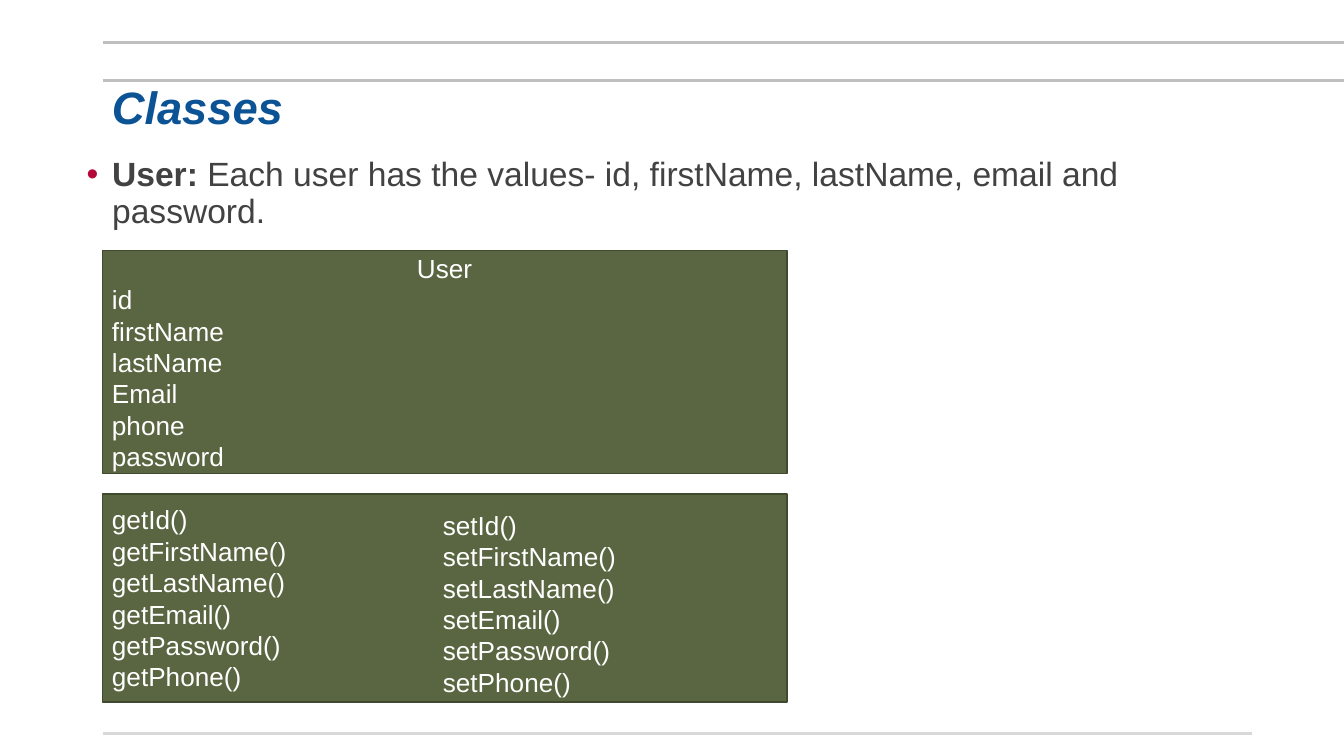
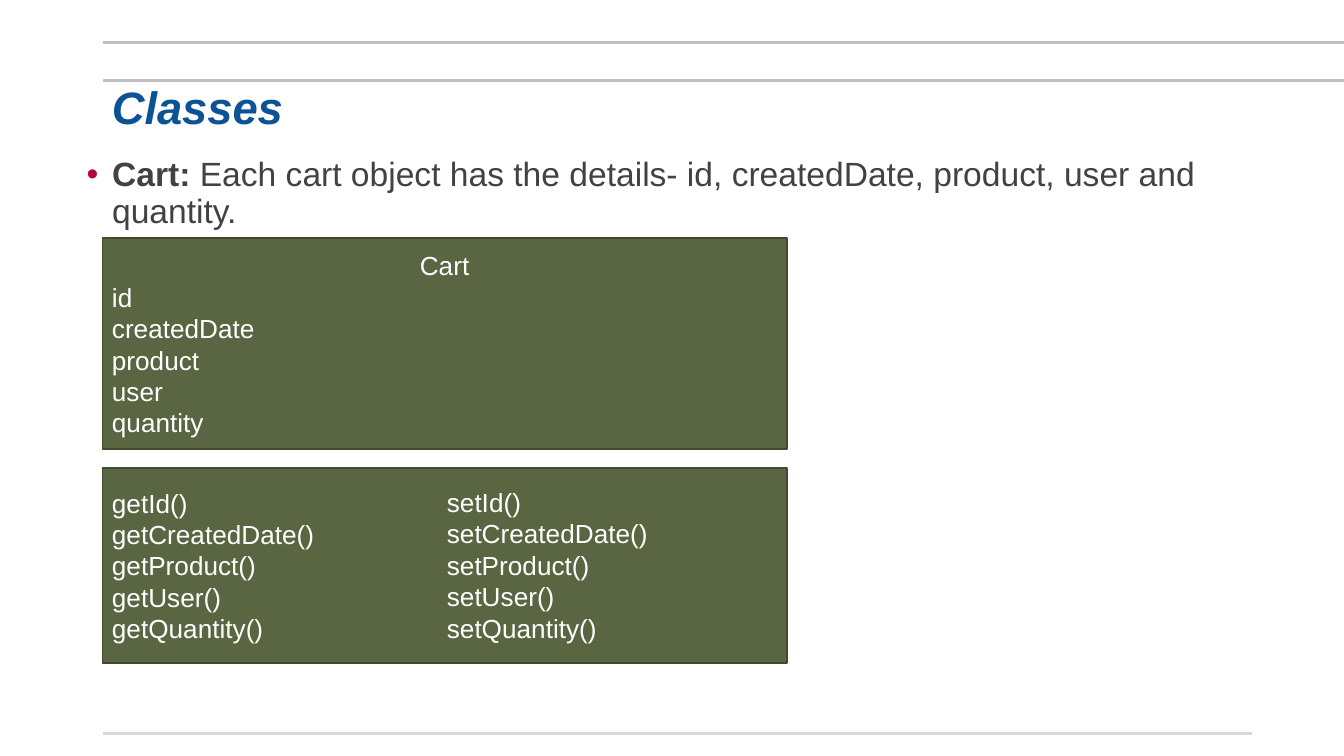
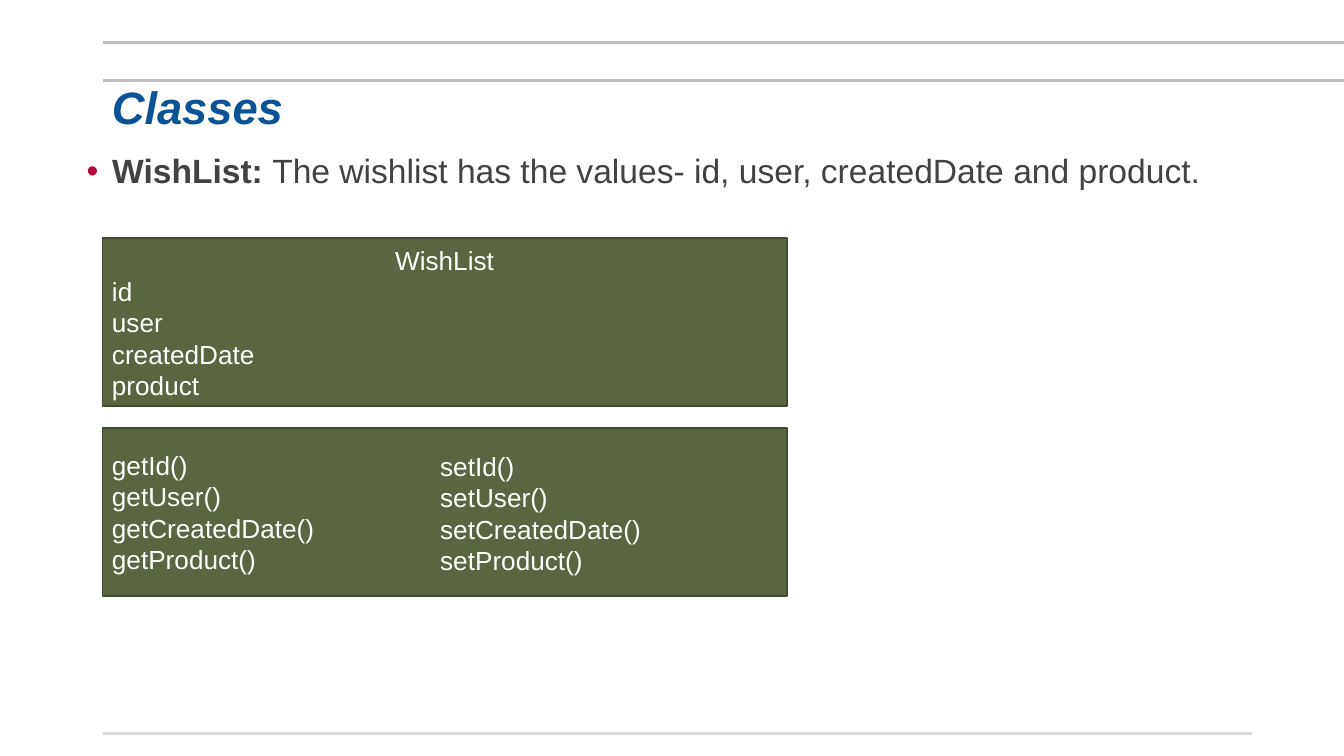
from dataclasses import dataclass

from lxml import etree
from pptx import Presentation, util as u
from pptx.dml.color import RGBColor
from pptx.enum import shapes, text
from pptx.oxml.ns import qn


@dataclass(frozen=True)
class Theme:
    font: str = "Arial"
    title: str = "0B5394"
    body: str = "424242"
    bullet: str = "B30738"
    panel: str = "596641"
    panel_edge: str = "404A2F"
    panel_text: str = "FFFFFF"
    header_rule: str = "BFBFBF"
    footer_rule: str = "D8D8D8"
    title_size: float = 24.3
    body_size: float = 18
    panel_size: float = 14
    rule_width: float = 1.5
    edge_width: float = 1
    spacing: float = 0.9


class ClassDeck:
    """Widescreen slides on a grid of 100 columns by 56.25 rows."""

    COLUMNS, ROWS = 100, 56.25
    LEFT, PANEL_WIDTH = 7.63, 50.9

    def __init__(self, theme):
        self.theme = theme
        self.deck = Presentation()
        self.deck.slide_width = u.Inches(10)
        self.deck.slide_height = self.deck.slide_width * 9 // 16
        self.page = None

    def place(self, column, row):
        return (round(self.deck.slide_width * column / self.COLUMNS),
                round(self.deck.slide_height * row / self.ROWS))

    # Shared frame: rules and title
    def new_page(self, title):
        theme = self.theme
        self.page = self.deck.slides.add_slide(self.deck.slide_layouts[6])
        for row in (6, 3.17):
            self.rule(row, self.COLUMNS, theme.header_rule)
        self.rule(54.6, 93.14, theme.footer_rule)
        frame = self.text_box(self.LEFT, 6, 85.4, 4.3)
        frame.vertical_anchor = text.MSO_ANCHOR.MIDDLE
        para = frame.paragraphs[0]
        para.line_spacing = theme.spacing
        self.span(para, title, theme.title_size, theme.title, bold=True, italic=True)

    def rule(self, row, end, colour):
        line = self.page.shapes.add_connector(
            shapes.MSO_CONNECTOR.STRAIGHT, *self.place(7.7, row), *self.place(end, row))
        line.line.color.rgb = RGBColor.from_string(colour)
        line.line.width = u.Pt(self.theme.rule_width)
        etree.SubElement(line._element.spPr, qn("a:effectLst"))

    # Text
    def prepare(self, frame):
        frame.word_wrap = True
        frame.margin_left = frame.margin_right = u.Inches(0.07)
        frame.margin_top = frame.margin_bottom = u.Inches(0.04)
        return frame

    def text_box(self, column, row, width, height):
        box = self.page.shapes.add_textbox(
            *self.place(column, row), *self.place(width, height))
        return self.prepare(box.text_frame)

    def span(self, para, words, size, colour, bold=False, italic=False):
        span = para.add_run()
        span.text = words
        font = span.font
        font.name, font.size = self.theme.font, u.Pt(size)
        font.bold, font.italic = bold, italic
        font.color.rgb = RGBColor.from_string(colour)

    def lines(self, frame, entries):
        for index, entry in enumerate(entries):
            para = frame.add_paragraph() if index else frame.paragraphs[0]
            para.alignment = text.PP_ALIGN.LEFT
            self.span(para, entry, self.theme.panel_size, self.theme.panel_text)

    def bullet(self, row, term, description):
        theme = self.theme
        para = self.text_box(5.74, row, 89.2, 40.1).paragraphs[0]
        para.line_spacing = theme.spacing
        layout = para._p.get_or_add_pPr()
        layout.set("marL", str(u.Inches(0.19)))
        layout.set("indent", str(-u.Inches(0.19)))
        colour = etree.SubElement(layout, qn("a:buClr"))
        etree.SubElement(colour, qn("a:srgbClr"), val=theme.bullet)
        etree.SubElement(layout, qn("a:buFont"), typeface=theme.font)
        etree.SubElement(layout, qn("a:buChar"), char="•")
        self.span(para, term, theme.body_size, theme.body, bold=True)
        self.span(para, description, theme.body_size, theme.body)

    # Class diagram
    def panel(self, row, height, entries):
        box = self.page.shapes.add_shape(
            shapes.MSO_SHAPE.RECTANGLE, *self.place(self.LEFT, row),
            *self.place(self.PANEL_WIDTH, height))
        box.shadow.inherit = False
        box.fill.solid()
        box.fill.fore_color.rgb = RGBColor.from_string(self.theme.panel)
        box.line.color.rgb = RGBColor.from_string(self.theme.panel_edge)
        box.line.width = u.Pt(self.theme.edge_width)
        frame = self.prepare(box.text_frame)
        frame.vertical_anchor = text.MSO_ANCHOR.MIDDLE
        self.lines(frame, entries)
        return frame

    def field_panel(self, row, height, name, fields):
        frame = self.panel(row, height, [name, *fields])
        frame.paragraphs[0].alignment = text.PP_ALIGN.CENTER

    def method_panel(self, row, height, properties, setter_at):
        self.panel(row, height, [f"get{name}()" for name in properties])
        setters = self.text_box(*setter_at, 22, 16)
        self.lines(setters, [f"set{name}()" for name in properties])


# Each panel is (top row, height in rows)
CLASSES = [
    dict(name="User", term="User: ", bullet_row=11.35,
         description="Each user has the values- id, firstName, lastName, email and password.",
         fields=["id", "firstName", "lastName", "Email", "phone", "password"],
         properties=["Id", "FirstName", "LastName", "Email", "Password", "Phone"],
         field_area=(18.64, 16.6), method_area=(36.74, 15.5), setter_at=(32.25, 37.5)),
    dict(name="Cart", term="Cart: ", bullet_row=11.35,
         description="Each cart object has the details- id, createdDate, product, user and quantity.",
         fields=["id", "createdDate", "product", "user", "quantity"],
         properties=["Id", "CreatedDate", "Product", "User", "Quantity"],
         field_area=(17.74, 15.7), method_area=(34.82, 14.5), setter_at=(32.55, 35.8)),
    dict(name="WishList", term="WishList: ", bullet_row=11.1,
         description="The wishlist has the values- id, user, createdDate and product.",
         fields=["id", "user", "createdDate", "product"],
         properties=["Id", "User", "CreatedDate", "Product"],
         field_area=(17.74, 12.5), method_area=(31.86, 12.5), setter_at=(32.05, 33.1)),
]


def main():
    slides = ClassDeck(Theme())
    for entry in CLASSES:
        slides.new_page("Classes")
        slides.bullet(entry["bullet_row"], entry["term"], entry["description"])
        slides.field_panel(*entry["field_area"], entry["name"], entry["fields"])
        slides.method_panel(*entry["method_area"], entry["properties"], entry["setter_at"])
    slides.deck.save("out.pptx")


if __name__ == "__main__":
    main()
